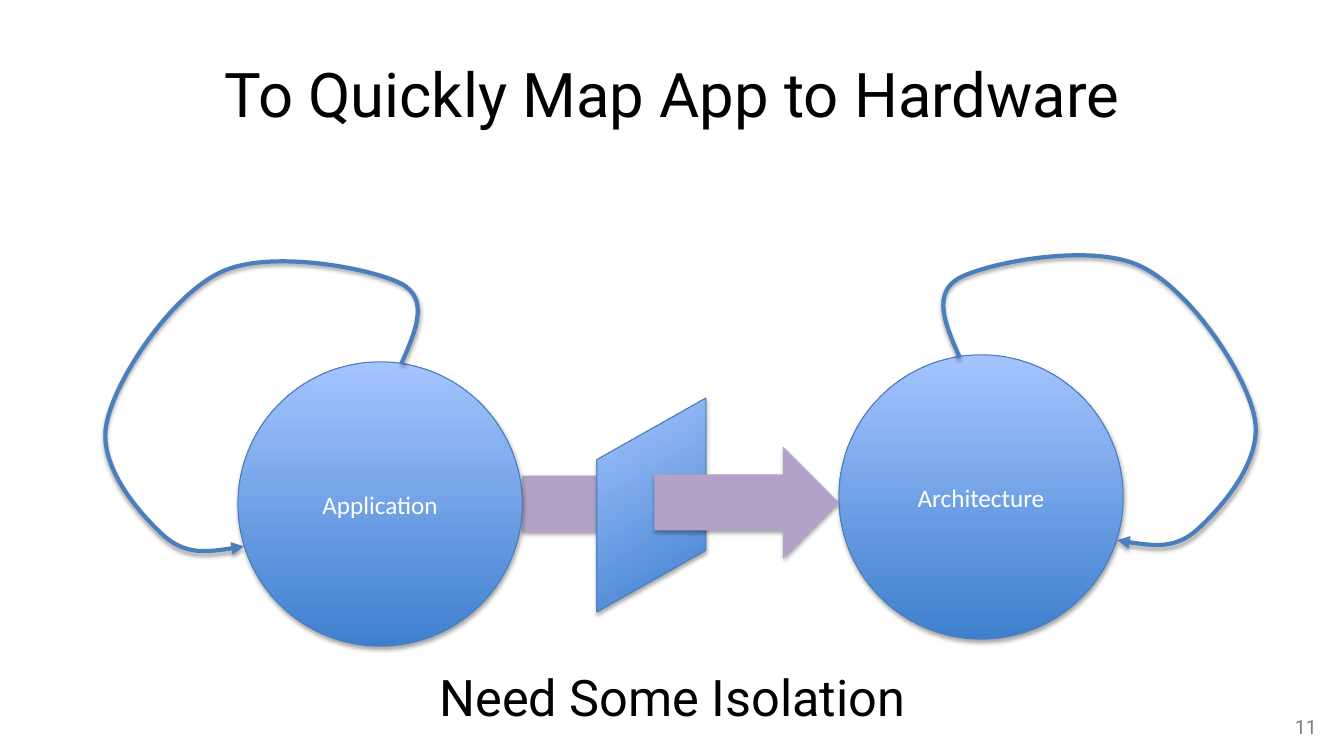
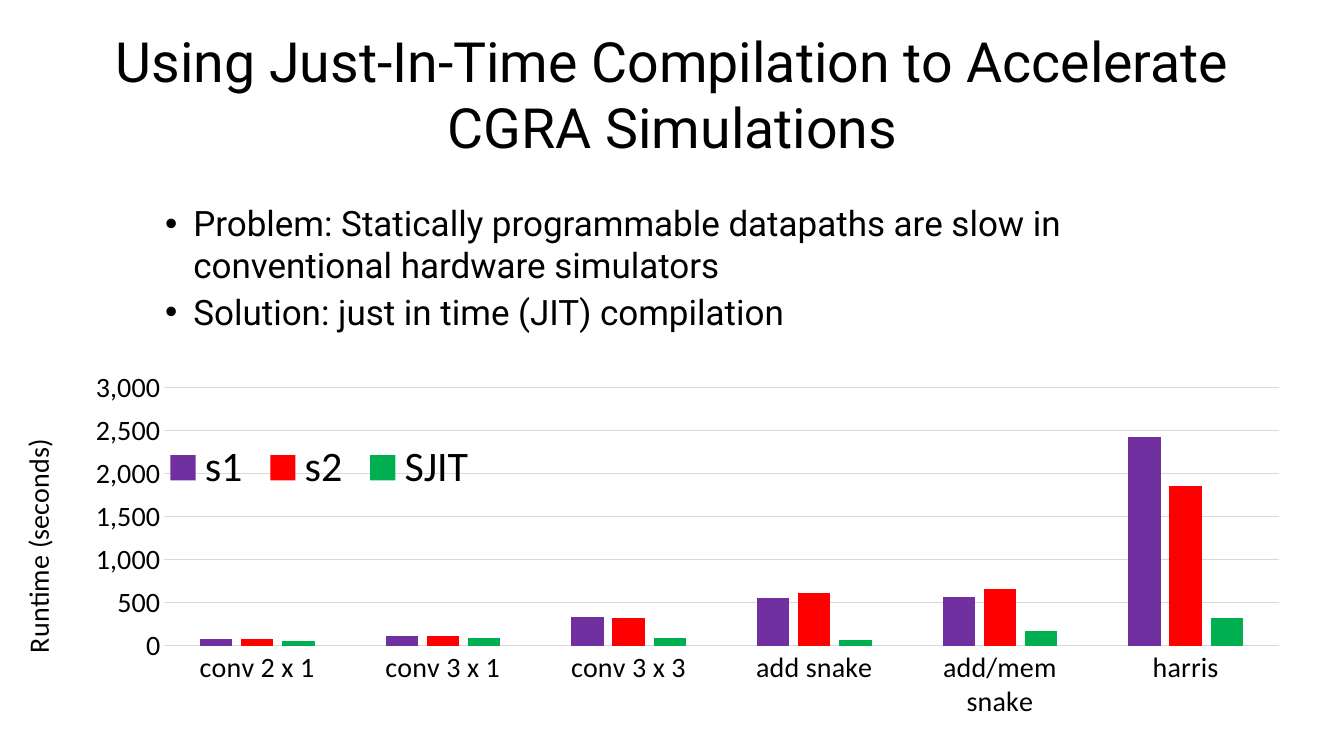
"""Build two slides on mapping applications to hardware and on fast simulation."""
from lxml import etree
from pptx import Presentation
from pptx import util as u
from pptx.chart import data as chart_data
from pptx.dml.color import RGBColor
from pptx.enum import chart as charts, shapes, text
from pptx.oxml import ns

BLACK = RGBColor(0x00, 0x00, 0x00)
WHITE = RGBColor(0xFF, 0xFF, 0xFF)
GRAY = RGBColor(0x7F, 0x7F, 0x7F)
GRID = RGBColor(0xD9, 0xD9, 0xD9)
DEEP_BLUE = RGBColor(0x3F, 0x80, 0xCE)
LIGHT_BLUE = RGBColor(0xA4, 0xC4, 0xFF)
OUTLINE = RGBColor(0x4B, 0x7E, 0xBC)
LAVENDER = RGBColor(0xB3, 0xA2, 0xC7)
PURPLE = RGBColor(0x70, 0x30, 0xA0)
RED = RGBColor(0xFF, 0x00, 0x00)
GREEN = RGBColor(0x00, 0xB0, 0x50)
TEXT_FONT = "Roboto"
LABEL_FONT = "Calibri"

LOOP = [(3.98, 3.61), (4.12, 3.29), (4.27, 2.96), (3.97, 2.81),
        (3.67, 2.66), (2.67, 2.47), (2.19, 2.7),
        (1.7, 2.93), (1.15, 3.75), (1.06, 4.19),
        (0.96, 4.62), (1.39, 5.1), (1.62, 5.31),
        (1.84, 5.51), (2.13, 5.47), (2.42, 5.42)]
PANEL = [(5.92, 4.56), (7, 3.95), (7, 5.46), (5.92, 6.07)]
BULLETS = ["Problem: Statically programmable datapaths are slow in "
           "conventional hardware simulators",
           "Solution: just in time (JIT) compilation"]
KERNELS = ["conv 2 x 1", "conv 3 x 1", "conv 3 x 3", "add snake",
           "add/mem snake", "harris"]
RUNTIMES = [("s1", PURPLE, (80, 120, 330, 560, 570, 2430)),
            ("s2", RED, (80, 120, 320, 610, 660, 1860)),
            ("SJIT", GREEN, (60, 90, 90, 70, 170, 320))]


def inches(*lengths):
    return [u.Inches(length) for length in lengths]


def add_xml(parent, tag, **attributes):
    child = etree.SubElement(parent, ns.qn(tag))
    for name, value in attributes.items():
        child.set(name, str(value))
    return child


def style_font(font, size, color=BLACK, name=LABEL_FONT):
    font.size, font.name, font.bold = u.Pt(size), name, False
    font.color.rgb = color


def add_text(page, place, lines, size, color=BLACK,
             align=text.PP_ALIGN.CENTER, anchor=text.MSO_ANCHOR.MIDDLE):
    box = page.shapes.add_textbox(*inches(*place))
    frame = box.text_frame
    frame.word_wrap = True
    frame.vertical_anchor = anchor
    frame.text = "\n".join(lines)
    for para in frame.paragraphs:
        para.alignment = align
        for span in para.runs:
            style_font(span.font, size, color, TEXT_FONT)
    return box


def add_title(page, title, size):
    add_text(page, (0.67, 0.3, 12, 1.25), [title], size)


def add_bullets(page, place, lines, size):
    box = add_text(page, place, lines, size, align=text.PP_ALIGN.LEFT)
    for index, para in enumerate(box.text_frame.paragraphs):
        if index:
            para.space_before = u.Pt(3)
        properties = para._p.get_or_add_pPr()
        properties.set("marL", str(u.Inches(0.38)))
        properties.set("indent", str(u.Inches(-0.28)))
        add_xml(properties, "a:buFont", typeface="Arial")
        add_xml(properties, "a:buChar", char="•")


def add_shadow(shape):
    shape.shadow.inherit = False
    effects = shape._element.spPr.find(ns.qn("a:effectLst"))
    shadow = add_xml(effects, "a:outerShdw", blurRad=u.Pt(3.1),
                     dist=u.Pt(1.8), dir=90 * 60000, rotWithShape=0)
    color = add_xml(shadow, "a:srgbClr", val=BLACK)
    add_xml(color, "a:alpha", val=35000)


def style_line(line, color, width):
    line.color.rgb = color
    line.width = u.Pt(width)


def fill_gradient(shape, angle):
    shape.fill.gradient()
    shape.fill.gradient_angle = angle
    for stop, color in zip(shape.fill.gradient_stops, (DEEP_BLUE, LIGHT_BLUE)):
        stop.color.rgb = color
    style_line(shape.line, OUTLINE, 0.75)
    add_shadow(shape)


def add_circle(page, left, top, label):
    circle = page.shapes.add_shape(shapes.MSO_SHAPE.OVAL,
                                   *inches(left, top, 2.82, 2.82))
    fill_gradient(circle, 90)
    frame = circle.text_frame
    frame.text = label
    frame.vertical_anchor = text.MSO_ANCHOR.MIDDLE
    para = frame.paragraphs[0]
    para.alignment = text.PP_ALIGN.CENTER
    style_font(para.runs[0].font, 18, WHITE)


def add_flow(page, kind, place):
    flow = page.shapes.add_shape(kind, *inches(*place))
    flow.fill.solid()
    flow.fill.fore_color.rgb = LAVENDER
    flow.line.fill.background()
    add_shadow(flow)


def add_outline(page, points, close):
    start, *rest = [inches(*point) for point in points]
    builder = page.shapes.build_freeform(*start)
    builder.add_line_segments(rest, close=close)
    return builder.convert_to_shape()


def add_curved_arrow(page, points):
    arrow = add_outline(page, points, close=False)
    segments = list(arrow._element.iter(ns.qn("a:lnTo")))
    for first in range(0, len(segments), 3):
        curve = etree.Element(ns.qn("a:cubicBezTo"))
        segments[first].addprevious(curve)
        for segment in segments[first:first + 3]:
            curve.append(segment[0])
            segment.getparent().remove(segment)
    arrow.fill.background()
    style_line(arrow.line, OUTLINE, 3)
    add_xml(arrow.line._get_or_add_ln(), "a:tailEnd", type="triangle")
    add_shadow(arrow)


def set_layout(element, index, inner=False, **fractions):
    for old in element.findall(ns.qn("c:layout")):
        element.remove(old)
    layout = etree.Element(ns.qn("c:layout"))
    element.insert(index, layout)
    manual = add_xml(layout, "c:manualLayout")
    if inner:
        add_xml(manual, "c:layoutTarget", val="inner")
    add_xml(manual, "c:xMode", val="edge")
    add_xml(manual, "c:yMode", val="edge")
    for name, value in fractions.items():
        add_xml(manual, "c:" + name, val=value)


def style_axes(chart):
    for axis in (chart.category_axis, chart.value_axis):
        axis.major_tick_mark = axis.minor_tick_mark = charts.XL_TICK_MARK.NONE
        style_font(axis.tick_labels.font, 20)
    style_line(chart.category_axis.format.line, GRID, 0.75)
    values = chart.value_axis
    values.minimum_scale, values.maximum_scale = 0, 3000
    values.major_unit = 500
    values.tick_labels.number_format = "#,##0"
    values.tick_labels.number_format_is_linked = False
    values.format.line.fill.background()
    style_line(values.major_gridlines.format.line, GRID, 0.75)
    title = values.axis_title
    title.text_frame.text = "Runtime (seconds)"
    style_font(title.text_frame.paragraphs[0].runs[0].font, 20)
    set_layout(title._element, 1, x=0.01, y=0.18)


def add_runtime_chart(page, place):
    table = chart_data.CategoryChartData(number_format="#,##0")
    table.categories = KERNELS
    for name, _, values in RUNTIMES:
        table.add_series(name, values)
    chart = page.shapes.add_chart(charts.XL_CHART_TYPE.COLUMN_CLUSTERED,
                                  *inches(*place), table).chart
    style_font(chart.font, 10)
    chart.has_title = False
    plot = chart.plots[0]
    plot.vary_by_categories = False
    plot.gap_width, plot.overlap = 219, -27
    for series, (_, color, _) in zip(plot.series, RUNTIMES):
        series.format.fill.solid()
        series.format.fill.fore_color.rgb = color
    style_axes(chart)
    chart.has_legend = True
    legend = chart.legend
    legend.position = charts.XL_LEGEND_POSITION.BOTTOM
    legend.include_in_layout = False
    style_font(legend.font, 30)
    set_layout(legend._element, 1, x=0.12, y=0.18)
    plot_area = chart._chartSpace.chart.plotArea
    set_layout(plot_area, 0, inner=True, x=0.126, y=0.064, w=0.854, h=0.656)


def build_mapping_slide(page):
    add_flow(page, shapes.MSO_SHAPE.RECTANGLE, (5.18, 4.72, 1.31, 0.56))
    add_title(page, "To Quickly Map App to Hardware", 44)
    add_text(page, (10.05, 7.04, 3.11, 0.4), ["11"], 14, GRAY,
             text.PP_ALIGN.RIGHT, text.MSO_ANCHOR.TOP)
    add_text(page, (3.31, 6.56, 6.72, 0.69), ["Need Some Isolation"], 36)
    add_circle(page, 2.36, 3.59, "Application")
    add_circle(page, 8.32, 3.52, "Architecture")
    add_curved_arrow(page, LOOP)
    add_curved_arrow(page, [(13.5 - x, y - 0.06) for x, y in LOOP])
    fill_gradient(add_outline(page, PANEL, close=True), 120)
    add_flow(page, shapes.MSO_SHAPE.RIGHT_ARROW, (6.49, 4.43, 1.83, 1.11))


def build_runtime_slide(page):
    add_title(page, "Using Just-In-Time Compilation to Accelerate "
                    "CGRA Simulations", 39.6)
    add_bullets(page, (1.44, 1.75, 11, 1.8), BULLETS, 25)
    add_runtime_chart(page, (0, 3.6, 12.94, 3.9))


def main():
    deck = Presentation()
    deck.slide_width, deck.slide_height = inches(13.33, 7.5)
    for build in (build_mapping_slide, build_runtime_slide):
        build(deck.slides.add_slide(deck.slide_layouts[6]))
    deck.save("out.pptx")


if __name__ == "__main__":
    main()
